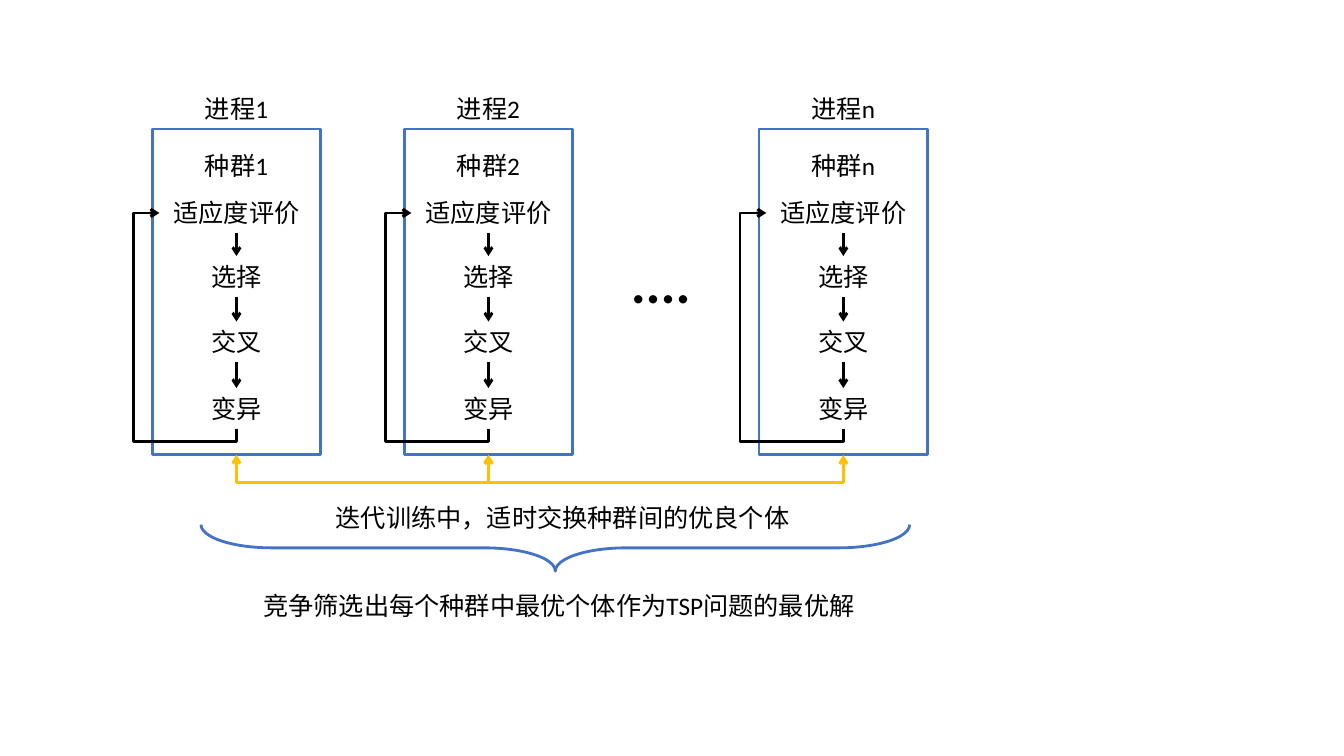
from itertools import pairwise

from pptx import Presentation
from pptx.dml.color import RGBColor
from pptx.enum.shapes import MSO_CONNECTOR as LINK, MSO_SHAPE as SHAPE
from pptx.enum.text import PP_ALIGN as ALIGN
from pptx.oxml.ns import qn
from pptx.oxml.xmlchemy import OxmlElement
from pptx.util import Pt

COLORS = {"ink": "000000", "paper": "FFFFFF", "frame": "4472C4", "exchange": "FFC000"}
LINE_WIDTH = 2
TEXT_HEIGHT = 29
STEPS = {"适应度评价": 45.4, "选择": 90.7, "交叉": 137.5, "变异": 185}  # tops within a frame


def rgb(name):
    """Return a named colour."""
    return RGBColor.from_string(COLORS[name])


def add_text(shapes, text, left, top, width, height=TEXT_HEIGHT, size=18, bold=False,
             align=ALIGN.CENTER, wrap=True):
    """Add one line of text."""
    box = shapes.add_textbox(Pt(left), Pt(top), Pt(width), Pt(height))
    box.text_frame.word_wrap = wrap
    para = box.text_frame.paragraphs[0]
    para.text = text
    para.alignment = align
    para.font.name = "Calibri"
    para.font.size = Pt(size)
    para.font.bold = bold
    para.font.color.rgb = rgb("ink")


def add_outline(shapes, kind, left, top, width, height):
    """Add a shape with a blue outline and no shadow."""
    shape = shapes.add_shape(kind, Pt(left), Pt(top), Pt(width), Pt(height))
    shape.shadow.inherit = False
    shape.line.color.rgb = rgb("frame")
    shape.line.width = Pt(LINE_WIDTH)
    return shape


def add_arrow(shapes, kind, left, top, right, bottom, color="ink", ends=("tailEnd",)):
    """Add a connector with open arrowheads at the given ends."""
    link = shapes.add_connector(kind, Pt(left), Pt(top), Pt(right), Pt(bottom))
    link.line.color.rgb = rgb(color)
    link.line.width = Pt(LINE_WIDTH)
    line = link.line._get_or_add_ln()
    for end in ends:
        head = OxmlElement(f"a:{end}")
        head.set("type", "arrow")
        line.append(head)
    link.element.spPr.append(OxmlElement("a:effectLst"))
    return link


def add_bent_arrow(shapes, start, end, flip, bends, **style):
    """Add an elbow arrow that leaves its start vertically, turned by 90 degrees."""
    (x1, y1), (x2, y2) = start, end
    width, height = abs(y2 - y1), abs(x2 - x1)
    left, top = (x1 + x2 - width) / 2, (y1 + y2 - height) / 2
    link = add_arrow(shapes, LINK.ELBOW, left, top, left + width, top + height, **style)
    frame = link.element.spPr.find(qn("a:xfrm"))
    frame.set("rot", str(90 * 60000))
    frame.set(flip, "1")
    geometry = link.element.spPr.find(qn("a:prstGeom"))
    geometry.set("prst", f"bentConnector{len(bends) + 2}")
    guides = geometry.find(qn("a:avLst"))
    for number, bend in enumerate(bends, 1):
        guide = OxmlElement("a:gd")
        guide.set("name", f"adj{number}")
        guide.set("fmla", f"val {round(bend * 100000)}")
        guides.append(guide)


def draw_process(page, name, left, top, width, height):
    """Draw one process: its frame, labels, steps and the loop back."""
    shapes = page.shapes.add_group_shape().shapes
    frame = add_outline(shapes, SHAPE.RECTANGLE, left, top, width, height)
    frame.fill.solid()
    frame.fill.fore_color.rgb = rgb("paper")
    center, label_width, first_width = left + width / 2, 100, 110
    for text, offset in {f"进程{name}": -28.8, f"种群{name}": 11.5, **STEPS}.items():
        text_width = first_width if text == "适应度评价" else label_width
        add_text(shapes, text, center - text_width / 2, top + offset, text_width)
    tops = [top + offset for offset in STEPS.values()]
    for upper, lower in pairwise(tops):
        add_arrow(shapes, LINK.STRAIGHT, center, upper + TEXT_HEIGHT, center, lower)
    add_bent_arrow(shapes, (center, tops[-1] + TEXT_HEIGHT),
                   (center - first_width / 2, tops[0] + TEXT_HEIGHT / 2),
                   "flipH", (-0.058, 1.341))


def draw_exchange(page, centers, top, depth):
    """Join the frames from below with two-headed arrows."""
    rise = 0.25
    for left, right in pairwise(centers):
        add_bent_arrow(page.shapes, (left, top), (right, top + rise), "flipV",
                       (depth / rise,), color="exchange", ends=("headEnd", "tailEnd"))


def draw_summary(page, left, top, width, height):
    """Draw the exchange note, the brace and the conclusion below it."""
    center, depth = left + width / 2, 33.2
    add_text(page.shapes, "迭代训练中，适时交换种群间的优良个体", 229, top, 345.6)
    middle = top + 36.3
    brace = add_outline(page.shapes, SHAPE.LEFT_BRACE, center - depth / 2,
                        middle - width / 2, depth, width)
    brace.rotation = 270
    brace.adjustments[0] = 1.526
    brace.fill.background()
    add_text(page.shapes, "竞争筛选出每个种群中最优个体作为TSP问题的最优解",
             center - 233, top + height - TEXT_HEIGHT, 471)


def main():
    """Build the slide and save it."""
    deck = Presentation()
    deck.slide_width, deck.slide_height = Pt(960), Pt(540)
    page = deck.slides.add_slide(deck.slide_layouts[6])
    top, width, height = 92.2, 120.4, 232.6
    lefts = {"1": 108.7, "2": 288.7, "n": 542.2}
    for name, left in lefts.items():
        draw_process(page, name, left, top, width, height)
    add_text(page.shapes, "....", 443.5, 173.5, 57, 55.4, size=40, bold=True,
             align=ALIGN.LEFT, wrap=False)
    draw_exchange(page, [left + width / 2 for left in lefts.values()], top + height, 19.4)
    draw_summary(page, 143.6, 355, 506.2, 92.4)
    deck.save("out.pptx")


main()
